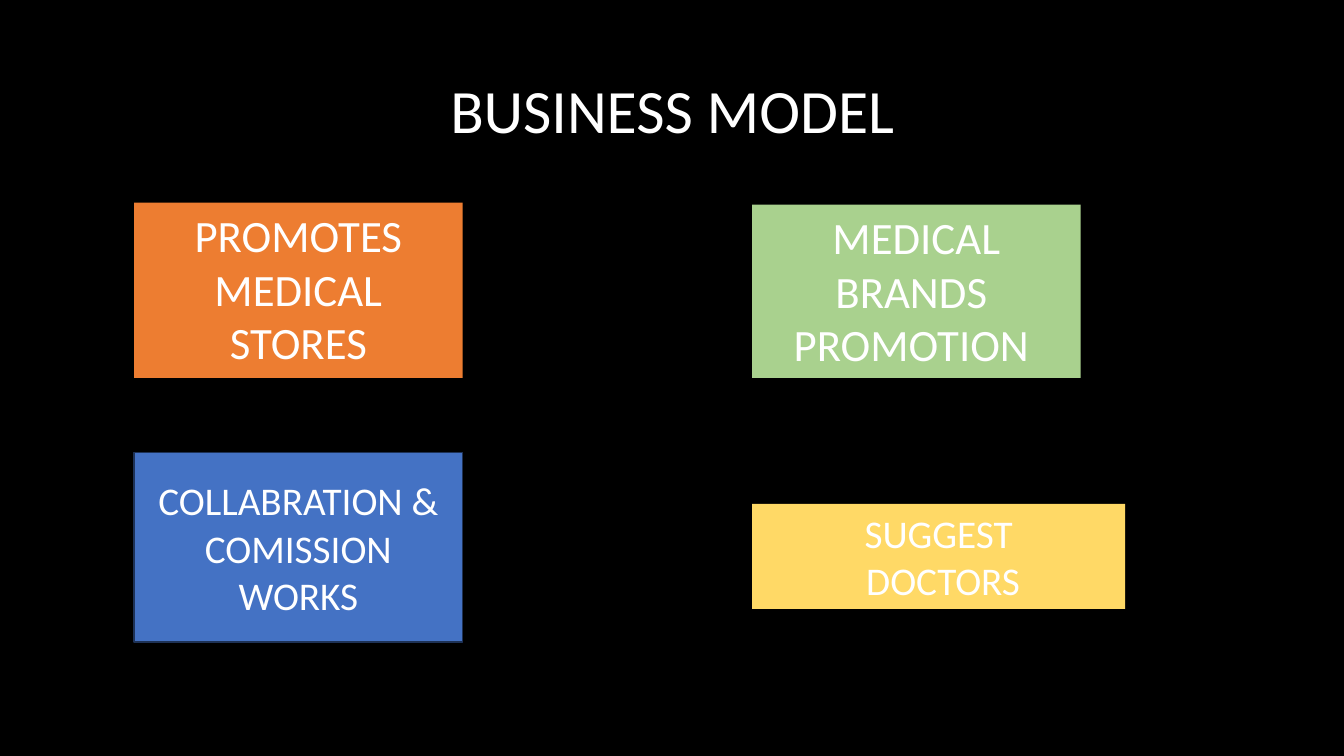
from pptx import Presentation
from pptx import util as u
from pptx.dml.color import RGBColor
from pptx.enum import shapes, text

THEME = {
    "font": "Calibri",
    "background": "000000", "text": "FFFFFF",
    "orange": "ED7D31", "green": "A9D18E",
    "blue": "4472C4", "blue edge": "1E3256", "yellow": "FFD966",
    "title": 44, "large": 32, "medium": 28,
}
LEFT, RIGHT = 1.33, 7.46  # the two columns
CARD_WIDTH = 3.26


def color(name):
    return RGBColor.from_string(THEME[name])


def write(shape, lines, size, anchor, spacing=1.0):
    frame = shape.text_frame
    frame_format = {"text": "\n".join(lines), "word_wrap": True, "vertical_anchor": anchor}
    for name, value in frame_format.items():
        setattr(frame, name, value)
    for paragraph in frame.paragraphs:
        paragraph.alignment = text.PP_ALIGN.CENTER
        paragraph.line_spacing = spacing
        font_format = {"name": THEME["font"], "size": u.Pt(THEME[size])}
        for name, value in font_format.items():
            setattr(paragraph.runs[0].font, name, value)
        paragraph.runs[0].font.color.rgb = color("text")


# Slide and background
presentation = Presentation()
presentation.slide_width, presentation.slide_height = u.Inches(13.33), u.Inches(7.5)
slide = presentation.slides.add_slide(presentation.slide_layouts[5])
slide.background.fill.solid()
slide.background.fill.fore_color.rgb = color("background")

# Title
title = slide.shapes.title
title_box = {"left": 0.92, "top": 0.4, "width": 11.5, "height": 1.45}
for name, value in title_box.items():
    setattr(title, name, u.Inches(value))
write(title, ["BUSINESS MODEL"], "title", text.MSO_ANCHOR.MIDDLE, 0.9)

# Cards: left, top, width, height, fill, edge, type size, anchor, lines
TOP, MIDDLE = text.MSO_ANCHOR.TOP, text.MSO_ANCHOR.MIDDLE
cards = [
    (LEFT, 2.01, CARD_WIDTH, 1.74, "orange", None, "large", TOP,
     ["PROMOTES MEDICAL STORES"]),
    (RIGHT, 2.03, CARD_WIDTH, 1.72, "green", None, "large", TOP,
     ["MEDICAL BRANDS ", "PROMOTION "]),
    (LEFT, 4.49, CARD_WIDTH, 1.88, "blue", "blue edge", "medium", MIDDLE,
     ["COLLABRATION &", "COMISSION WORKS"]),
    (RIGHT, 5, 3.7, 1.04, "yellow", None, "medium", TOP,
     ["SUGGEST", " DOCTORS"]),
]
for left, top, width, height, fill, edge, size, anchor, lines in cards:
    box = [u.Inches(length) for length in (left, top, width, height)]
    card = slide.shapes.add_shape(shapes.MSO_SHAPE.RECTANGLE, *box)
    card.shadow.inherit = False
    card.fill.solid()
    card.fill.fore_color.rgb = color(fill)
    if edge:
        card.line.color.rgb = color(edge)
        card.line.width = u.Pt(1)
    else:
        card.line.fill.background()
    write(card, lines, size, anchor)

presentation.save("out.pptx")
